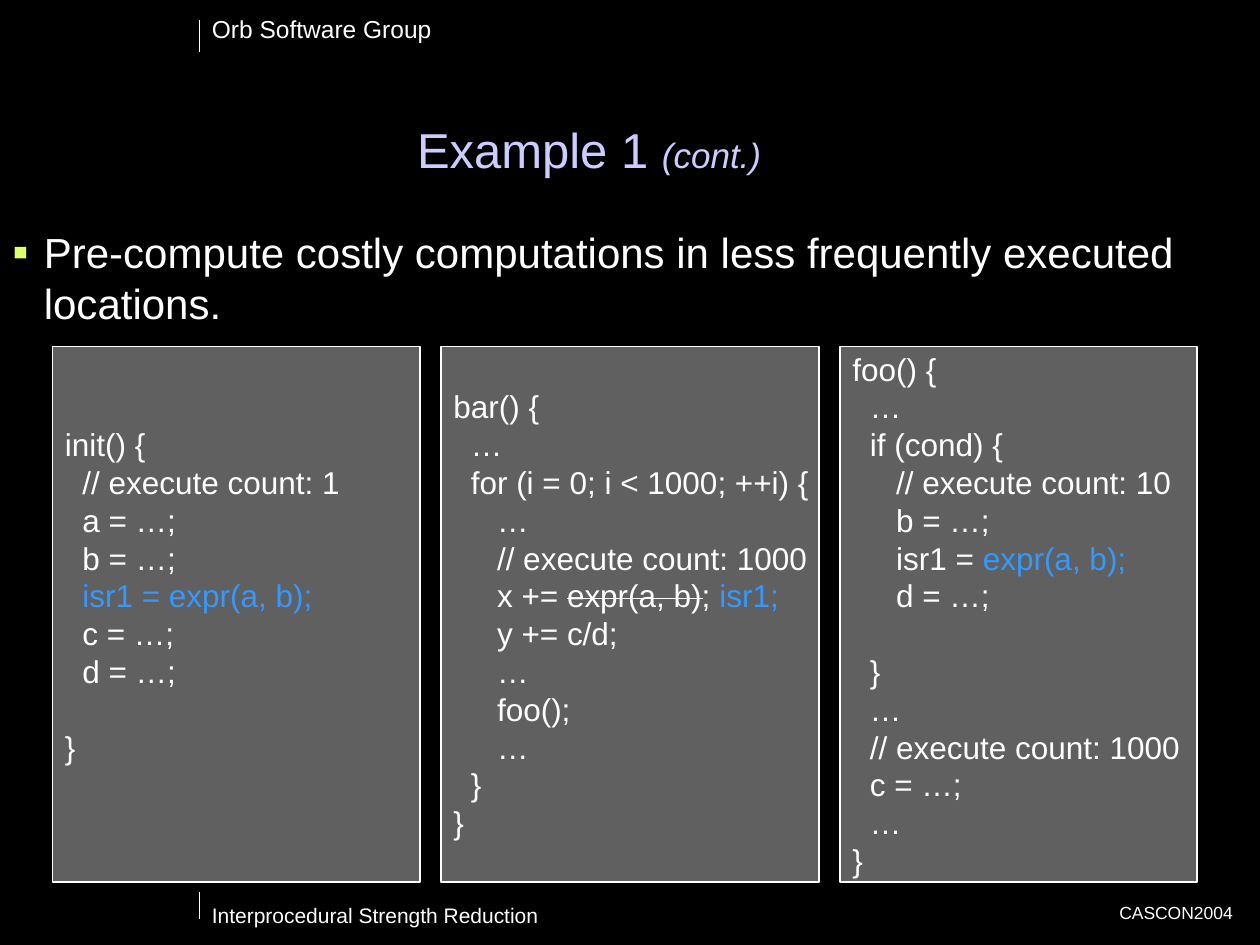
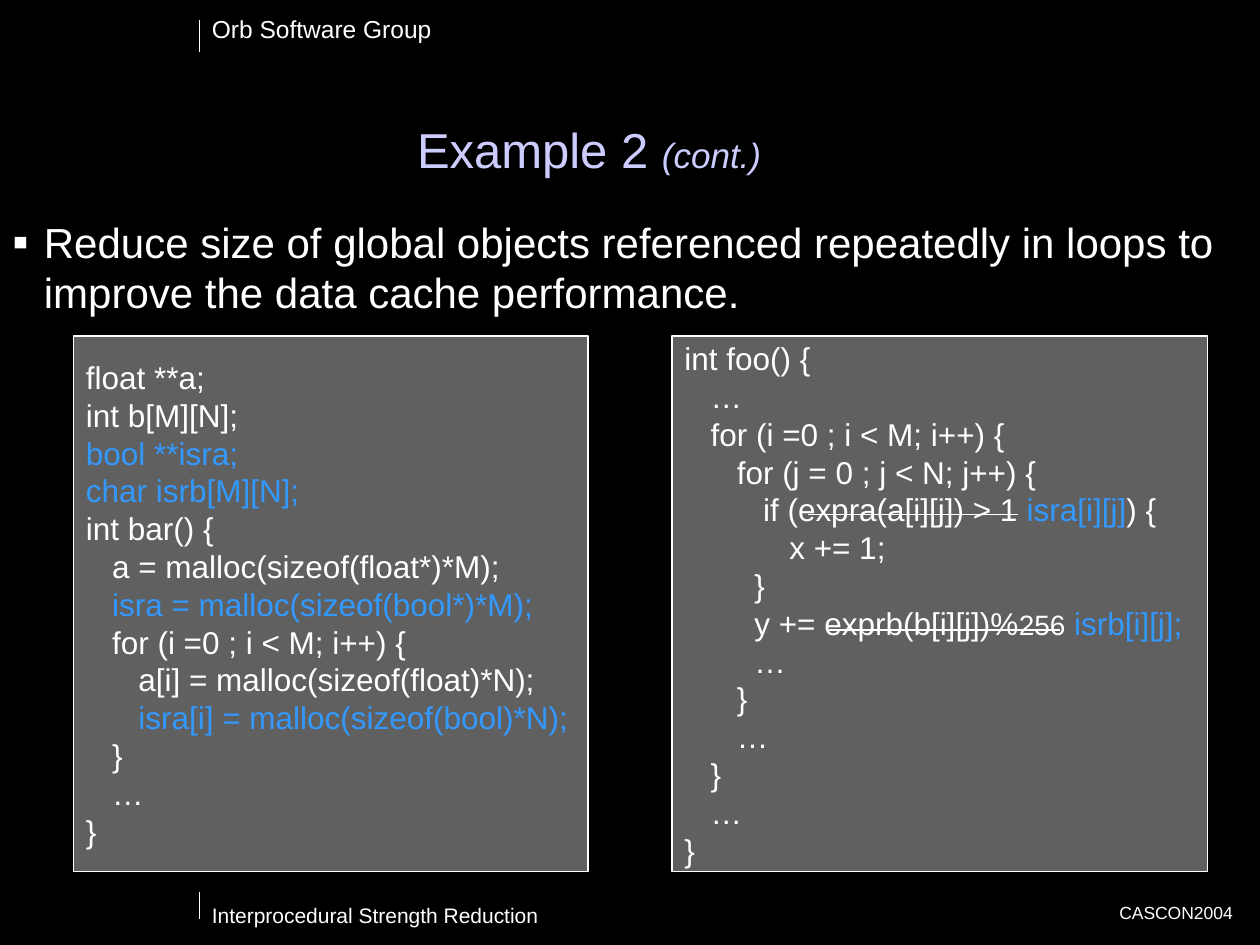
from dataclasses import dataclass

from lxml.etree import SubElement
from pptx import Presentation
from pptx.dml.color import RGBColor
from pptx.enum.shapes import MSO_CONNECTOR as Connector, MSO_SHAPE as Shape
from pptx.enum.text import MSO_ANCHOR as Anchor, MSO_AUTO_SIZE as AutoSize, PP_ALIGN as Align
from pptx.oxml.ns import qn
from pptx.util import Pt


@dataclass(frozen=True)
class Theme:
    font: str = "Arial"
    background: str = "000000"
    text: str = "FFFFFF"
    title: str = "CCCCFF"
    new_code: str = "3399FF"
    panel: str = "C0C0C0"
    panel_alpha: int = 50
    lime: str = "DFFF66"
    title_size: int = 28
    cont_size: int = 20
    body_size: int = 24
    code_size: int = 18
    small_code_size: int = 16
    rule_width: float = 0.75


THEME = Theme()


def new(code):
    """A run of code added by the transformation."""
    return code, {"color": THEME.new_code}


# Content: a code line is a string or a tuple of runs
INIT = [
    "init() {",
    "  // execute count: 1",
    "  a = …;",
    "  b = …;",
    ("  ", new("isr1 = expr(a, b);")),
    "  c = …;",
    "  d = …;",
    "  ",
    "}",
]
BAR = [
    "bar() {",
    "  …",
    "  for (i = 0; i < 1000; ++i) {",
    "     …",
    "     // execute count: 1000",
    ("     x += expr(a, b); ", new("isr1;")),
    "     y += c/d;",
    "     …",
    "     foo();",
    "     …",
    "  }",
    "}",
]
FOO = [
    "foo() {",
    "  …",
    "  if (cond) {",
    "     // execute count: 10",
    "     b = …;",
    ("     isr1 = ", new("expr(a, b);")),
    "     d = …;",
    "     ",
    "  }",
    "  …",
    "  // execute count: 1000",
    "  c = …;",
    "  …",
    "}",
]
GLOBALS = [
    "float **a;",
    "int b[M][N];",
    (new("bool **isra;"),),
    (new("char isrb[M][N];"),),
    "int bar() {",
    "   a = malloc(sizeof(float*)*M);",
    ("   ", new("isra = malloc(sizeof(bool*)*M);")),
    "   for (i =0 ; i < M; i++) {",
    "      a[i] = malloc(sizeof(float)*N);",
    ("      ", new("isra[i] = malloc(sizeof(bool)*N);")),
    "   }",
    "   …",
    "}",
]
LOOPS = [
    "int foo() {",
    "   …",
    "   for (i =0 ; i < M; i++) {",
    "      for (j = 0 ; j < N; j++) {",
    ("         if (expra(a[i][j]) > 1 ", new("isra[i][j]"), ") {"),
    "            x += 1;",
    "        }",
    ("        y += exprb(b[i][j])%", ("256", {"size": THEME.small_code_size}), " ",
     new("isrb[i][j];")),
    "        …",
    "      }",
    "      …",
    "   }",
    "   …",
    "}",
]

# Strikes are (x, y, length) measured from the panel's corner
EXAMPLES = [
    {
        "title": "Example 1 ",
        "point": "Pre-compute costly computations in less frequently executed locations.",
        "bullet_color": THEME.lime,
        "top": 126, "left": 30, "gap": 12,
        "panels": [
            {"width": 210, "code": INIT, "space_below": 21.6},
            {"width": 216, "code": BAR, "strikes": [(72, 144, 78)]},
            {"width": 204, "code": FOO},
        ],
    },
    {
        "title": "Example 2 ",
        "point": "Reduce size of global objects referenced repeatedly in loops "
                 "to improve the data cache performance.",
        "bullet_color": THEME.text,
        "top": 120, "left": 42, "gap": 48,
        "panels": [
            {"width": 294, "code": GLOBALS},
            {"width": 306, "code": LOOPS, "strikes": [(78, 102, 120), (90, 168, 132)]},
        ],
    },
]
CONT = ("(cont.)", {"size": THEME.cont_size, "italic": True})

# Header and footer: text, box, size, alignment
BANDS = [
    ("Orb Software Group", (114, 4.5, 141, 24.5), 14, Align.LEFT),
    ("Interprocedural Strength Reduction", (114, 512, 468, 21.6), 12, Align.LEFT),
    ("CASCON2004", (451, 512, 260.5, 19.4), 10, Align.RIGHT),
]
BAND_RULES = [(114, 11.5, 114, 30), (114, 510, 114, 525)]
TITLE_BOX = (12, 68.4, 649.4, 39.6)
POINT_HEIGHT, PANEL_DROP, PANEL_HEIGHT = 84, 72, 306
INDENT = 18


def points(values):
    return [Pt(value) for value in values]


def set_bullet(paragraph, color):
    props = paragraph._p.get_or_add_pPr()
    props.set("marL", str(Pt(INDENT)))
    props.set("indent", str(-Pt(INDENT)))
    SubElement(SubElement(props, qn("a:buClr")), qn("a:srgbClr"), val=color)
    SubElement(props, qn("a:buSzPct"), val="110000")
    SubElement(props, qn("a:buFont"), typeface=THEME.font)
    SubElement(props, qn("a:buChar"), char="▪")


def write(frame, lines, size, color=THEME.text, align=Align.LEFT, anchor=Anchor.TOP,
          wrap=True, line_spacing=None, bullet=None, space_below=0):
    """Fill a text frame; each line is a string or a tuple of runs."""
    frame.auto_size = AutoSize.NONE
    frame.word_wrap = wrap
    frame.vertical_anchor = anchor
    frame.margin_left = frame.margin_right = Pt(7.2)
    frame.margin_top = Pt(3.6)
    frame.margin_bottom = Pt(3.6 + space_below)
    for index, line in enumerate(lines):
        paragraph = frame.add_paragraph() if index else frame.paragraphs[0]
        if bullet:
            set_bullet(paragraph, bullet)
        paragraph.alignment = align
        if line_spacing:
            paragraph.line_spacing = line_spacing
        for piece in (line,) if isinstance(line, str) else line:
            text, style = (piece, {}) if isinstance(piece, str) else piece
            run = paragraph.add_run()
            run.text = text
            run.font.name = THEME.font
            run.font.size = Pt(style.get("size", size))
            run.font.italic = style.get("italic")
            run.font.color.rgb = RGBColor.from_string(style.get("color", color))


def style_line(line):
    line.color.rgb = RGBColor.from_string(THEME.text)
    line.width = Pt(THEME.rule_width)


def add_rule(slide, ends):
    rule = slide.shapes.add_connector(Connector.STRAIGHT, *points(ends))
    style_line(rule.line)
    SubElement(rule.element.spPr, qn("a:effectLst"))


def add_panel(slide, left, top, panel):
    box = slide.shapes.add_shape(
        Shape.RECTANGLE, *points((left, top, panel["width"], PANEL_HEIGHT)))
    box.shadow.inherit = False
    box.fill.solid()
    box.fill.fore_color.rgb = RGBColor.from_string(THEME.panel)
    fill_color = box.element.spPr.find(qn("a:solidFill")).find(qn("a:srgbClr"))
    SubElement(fill_color, qn("a:alpha"), val=str(THEME.panel_alpha * 1000))
    style_line(box.line)
    write(box.text_frame, panel["code"], THEME.code_size, anchor=Anchor.MIDDLE,
          wrap=False, space_below=panel.get("space_below", 0))


def add_bands(slide):
    for text, box, size, align in BANDS:
        band = slide.shapes.add_textbox(*points(box))
        write(band.text_frame, [text], size, align=align)
    for ends in BAND_RULES:
        add_rule(slide, ends)


def add_example(deck, example):
    slide = deck.slides.add_slide(deck.slide_layouts[5])
    slide.background.fill.solid()
    slide.background.fill.fore_color.rgb = RGBColor.from_string(THEME.background)
    add_bands(slide)

    # Title and point
    title = slide.shapes.title
    title.left, title.top, title.width, title.height = points(TITLE_BOX)
    write(title.text_frame, [(example["title"], CONT)], THEME.title_size,
          color=THEME.title, align=Align.CENTER, line_spacing=0.9)
    point = slide.shapes.add_textbox(*points((0, example["top"], 720, POINT_HEIGHT)))
    write(point.text_frame, [example["point"]], THEME.body_size,
          bullet=example["bullet_color"])

    # Code panels, left to right, with the replaced code struck out
    left, top = example["left"], example["top"] + PANEL_DROP
    for panel in example["panels"]:
        add_panel(slide, left, top, panel)
        for x, y, length in panel.get("strikes", []):
            add_rule(slide, (left + x, top + y, left + x + length, top + y))
        left += panel["width"] + example["gap"]


def main():
    deck = Presentation()
    deck.slide_width, deck.slide_height = points((720, 540))
    for example in EXAMPLES:
        add_example(deck, example)
    deck.save("out.pptx")


if __name__ == "__main__":
    main()
